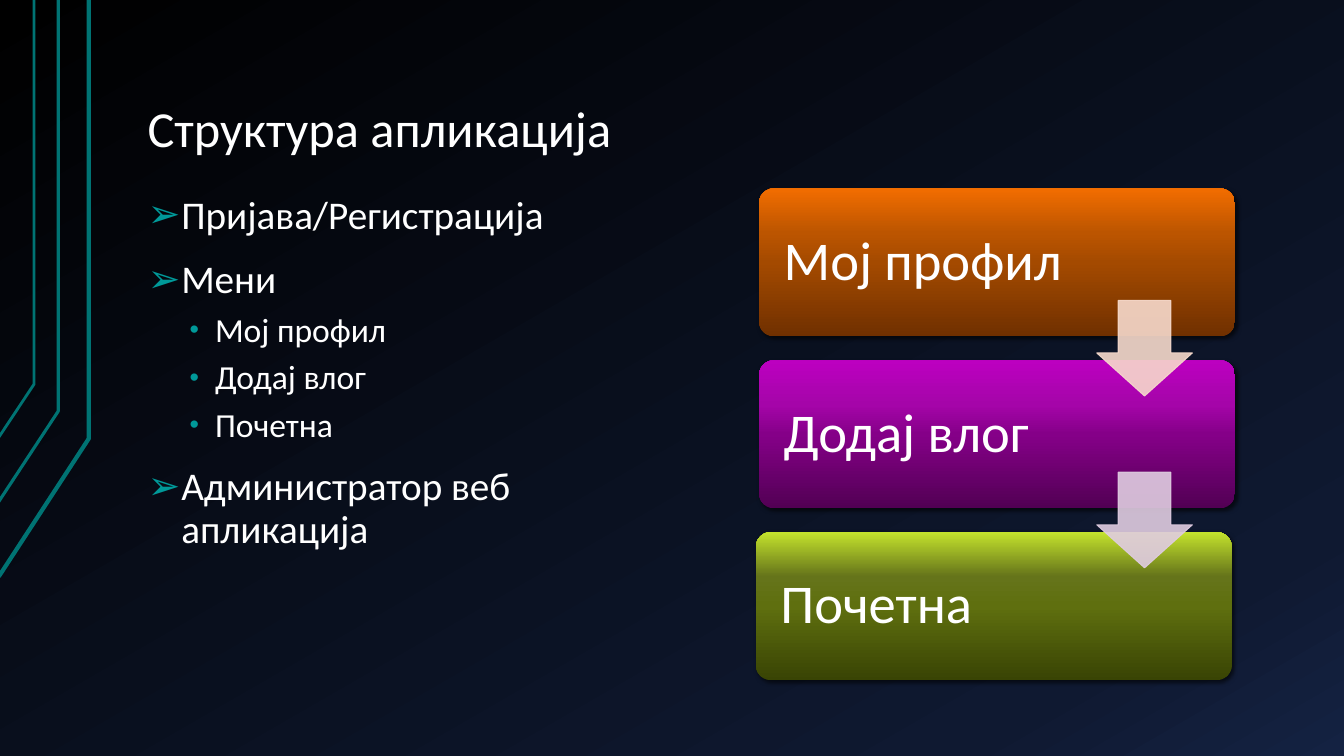
from dataclasses import dataclass
from lxml.etree import SubElement
from pptx import Presentation
from pptx.dml.color import RGBColor
from pptx.enum.shapes import MSO_SHAPE
from pptx.enum.text import MSO_ANCHOR, PP_ALIGN
from pptx.oxml import parse_xml
from pptx.oxml.ns import nsdecls, qn
from pptx.util import Cm, Pt


@dataclass(frozen=True)
class Theme:
    font: str = "Calibri"
    text: str = "FFFFFF"
    bullet: str = "009999"
    rail: str = "007373"
    shadow: str = "000000"
    night: tuple = ((0, "000000"), (85, "0F1931"), (100, "142242"))
    orange: tuple = ((0, "703000"), (50, "A44A00"), (70, "BC5500"), (100, "F26D00"))
    purple: tuple = ((0, "520054"), (50, "850088"), (70, "A505A9"), (100, "BC00C0"))
    green: tuple = ((0, "394404"), (50, "5F6F0F"), (70, "65741A"), (100, "C4E32D"))
    arrows: tuple = ("F7DACC", "E0CCE1")
    title_size: int = 36
    item_size: int = 28
    subitem_size: int = 24
    card_size: int = 39


theme = Theme()


def paint_gradient(owner, stops, angle):
    """Swap the solid fill of a property element for a linear gradient."""
    stop_list = "".join(
        f'<a:gs pos="{place * 1000}"><a:srgbClr val="{color}"/></a:gs>'
        for place, color in stops
    )
    gradient = parse_xml(
        f'<a:gradFill {nsdecls("a")} rotWithShape="1"><a:gsLst>{stop_list}</a:gsLst>'
        f'<a:lin ang="{angle * 60000}" scaled="0"/></a:gradFill>'
    )
    owner.replace(owner.find(qn("a:solidFill")), gradient)


def style_text(para, size):
    para.alignment = PP_ALIGN.LEFT
    para.line_spacing = 0.9
    for span in para.runs:
        span.font.name = theme.font
        span.font.size = Pt(size)
        span.font.color.rgb = RGBColor.from_string(theme.text)


deck = Presentation()
deck.slide_width, deck.slide_height = Cm(33.87), Cm(19.05)
page = deck.slides.add_slide(deck.slide_layouts[6])

# Background
page.background.fill.solid()
paint_gradient(page.element.find(".//" + qn("p:bgPr")), theme.night, 60)

# Bent rails at the left edge: start x, start y, bend x, bend y, width
rails = (
    (-0.03, 14.53, 2.24, 11.05, 3),
    (-0.05, 12.67, 1.47, 10.36, 2.25),
    (-0.03, 11.02, 0.86, 9.68, 2),
)
for start_x, start_y, bend_x, bend_y, width in rails:
    builder = page.shapes.build_freeform(Cm(start_x), Cm(start_y))
    builder.add_line_segments([(Cm(bend_x), Cm(bend_y)), (Cm(bend_x), 0)], close=False)
    rail = builder.convert_to_shape()
    rail.shadow.inherit = False
    rail.fill.background()
    rail.line.color.rgb = RGBColor.from_string(theme.rail)
    rail.line.width = Pt(width)

# Title and list boxes
title_box = page.shapes.add_textbox(Cm(3.38), Cm(0.76), Cm(28.78), Cm(3.4))
list_box = page.shapes.add_textbox(Cm(3.38), Cm(4.75), Cm(14.1), Cm(12.4))
for box in (title_box, list_box):
    frame = box.text_frame
    frame.word_wrap = True
    frame.margin_left = frame.margin_right = Cm(0.34)
    frame.margin_top = frame.margin_bottom = Cm(0.17)

title_box.text_frame.vertical_anchor = MSO_ANCHOR.BOTTOM
title_box.text_frame.text = "Структура апликација"
style_text(title_box.text_frame.paragraphs[0], theme.title_size)

# Two-level bulleted list
items = (
    (0, "Пријава/Регистрација"),
    (0, "Мени"),
    (1, "Мој профил"),
    (1, "Додај влог"),
    (1, "Почетна"),
    (0, "Администратор веб апликација"),
)
# size, space before, left margin, hanging indent, bullet, bullet percent
levels = (
    (theme.item_size, 16, 0.85, 0.85, "➢", 100),
    (theme.subitem_size, 8, 1.7, 0.64, "•", 80),
)
list_box.text_frame.text = "\n".join(wording for _, wording in items)
for para, (level, _) in zip(list_box.text_frame.paragraphs, items):
    size, space, margin, hanging, mark, percent = levels[level]
    para.level = level
    para.space_before = Pt(space)
    style_text(para, size)
    props = para._p.get_or_add_pPr()
    props.set("marL", str(Cm(margin)))
    props.set("indent", str(-Cm(hanging)))
    bullet_color = SubElement(props, qn("a:buClr"))
    SubElement(bullet_color, qn("a:srgbClr"), val=theme.bullet)
    SubElement(props, qn("a:buSzPct"), val=str(percent * 1000))
    SubElement(props, qn("a:buFont"), typeface="Arial")
    SubElement(props, qn("a:buChar"), char=mark)

# Process cards
card_top, card_step = 4.75, 4.33
cards = (
    ("Мој профил", 19.13, theme.orange),
    ("Додај влог", 19.13, theme.purple),
    ("Почетна", 19.05, theme.green),
)
for index, (wording, left, stops) in enumerate(cards):
    card = page.shapes.add_shape(
        MSO_SHAPE.ROUNDED_RECTANGLE,
        Cm(left), Cm(card_top + index * card_step), Cm(11.99), Cm(3.73),
    )
    card.adjustments[0] = 0.1
    card.line.fill.background()
    card.fill.solid()
    card_props = card._element.spPr
    paint_gradient(card_props, stops, 270)
    card.shadow.inherit = False
    shadow = SubElement(
        card_props.find(qn("a:effectLst")), qn("a:outerShdw"),
        blurRad=str(Pt(3)), dist=str(Pt(2)), dir=str(45 * 60000),
        algn="ctr", rotWithShape="0",
    )
    shadow_color = SubElement(shadow, qn("a:srgbClr"), val=theme.shadow)
    SubElement(shadow_color, qn("a:alpha"), val="60000")
    frame = card.text_frame
    frame.margin_left = Cm(0.51)
    frame.vertical_anchor = MSO_ANCHOR.MIDDLE
    frame.text = wording
    style_text(frame.paragraphs[0], theme.card_size)

# Translucent arrows bridging the cards
for index, color in enumerate(theme.arrows):
    arrow = page.shapes.add_shape(
        MSO_SHAPE.DOWN_ARROW,
        Cm(27.64), Cm(card_top + 2.82 + index * card_step), Cm(2.41), Cm(2.41),
    )
    arrow.adjustments[0], arrow.adjustments[1] = 0.55, 0.45
    arrow.shadow.inherit = False
    arrow.fill.solid()
    arrow.fill.fore_color.rgb = RGBColor.from_string(color)
    arrow.line.color.rgb = RGBColor.from_string(color)
    arrow.line.width = Pt(0.75)
    for tint in arrow._element.spPr.iter(qn("a:srgbClr")):
        SubElement(tint, qn("a:alpha"), val="90000")

deck.save("out.pptx")
